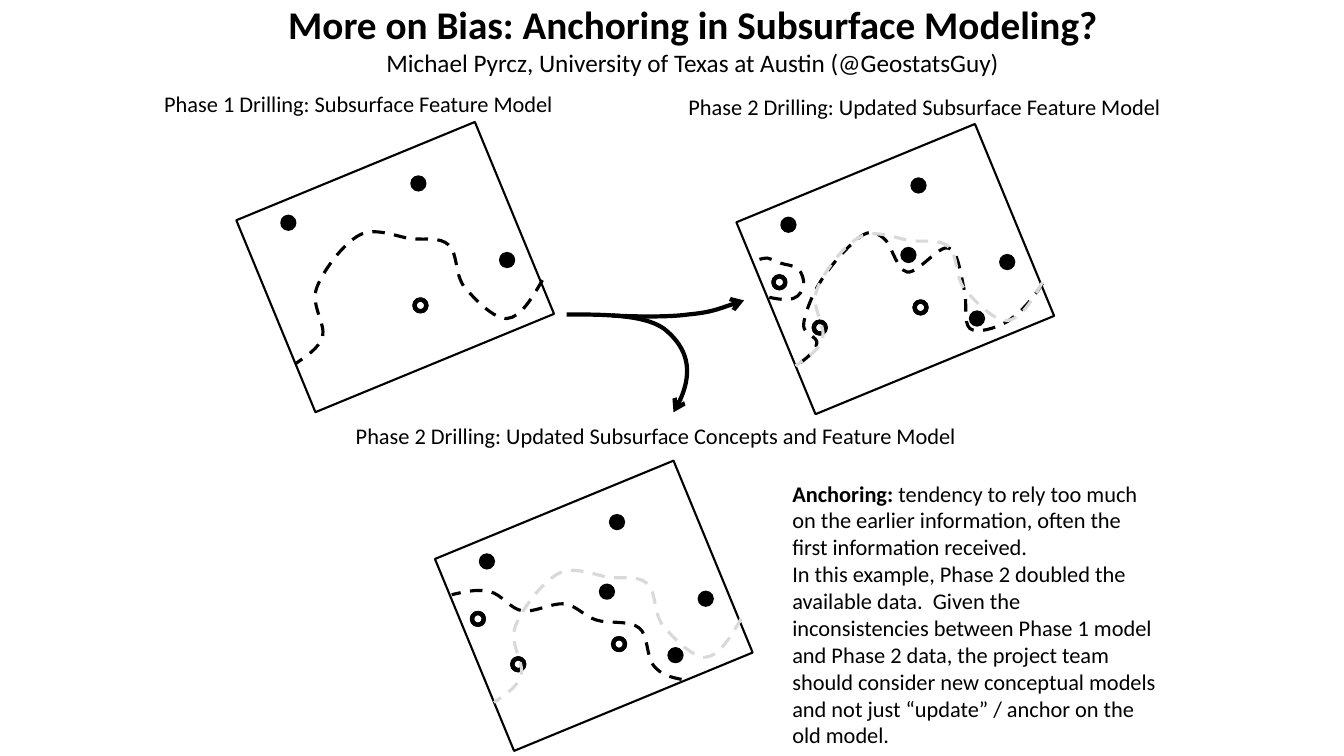
from lxml.etree import SubElement
from pptx import Presentation
from pptx.dml.color import RGBColor
from pptx.enum.dml import MSO_LINE
from pptx.enum.shapes import MSO_SHAPE as Preset
from pptx.enum.text import MSO_AUTO_SIZE as Fit, PP_ALIGN as Align
from pptx.oxml.ns import qn
from pptx.util import Pt

PX = 9144
FONT = "Calibri"
BLACK = RGBColor(0, 0, 0)
GREY = RGBColor(0xD9, 0xD9, 0xD9)

FIRST_DISKS = [(15, 52), (144, 13), (232, 89)]
FIRST_RINGS = [(147, 135)]
SECOND_DISKS = FIRST_DISKS + [(134, 82), (202, 145)]
SECOND_RINGS = FIRST_RINGS + [(47, 155), (7, 110)]

FIRST_MODEL = [
    (274, 116), (263, 135), (252, 153), (239, 154), (226, 155), (206, 134), (196, 122),
    (187, 109), (190, 89), (181, 81), (172, 73), (159, 76), (144, 75),
    (130, 73), (108, 63), (93, 71), (77, 79), (56, 107), (50, 124),
    (44, 141), (59, 159), (56, 172), (52, 184), (40, 191), (29, 199)]
UPDATED_MODEL = [
    (274, 117), (263, 135), (251, 147), (239, 155), (227, 162), (209, 167), (202, 162),
    (195, 156), (200, 136), (196, 122), (193, 109), (190, 84), (181, 82),
    (171, 79), (151, 107), (140, 106), (129, 104), (124, 77), (116, 72),
    (108, 66), (103, 64), (93, 71), (82, 79), (63, 100), (54, 115),
    (45, 129), (37, 150), (37, 159), (37, 168), (52, 170), (50, 177),
    (49, 184), (40, 192), (29, 199)]
SEPARATE_BODY = [
    (3, 131), (12, 133), (21, 134), (27, 132), (33, 130), (36, 124), (37, 119),
    (38, 114), (35, 106), (32, 103), (28, 99), (19, 99), (14, 97),
    (9, 95), (5, 93), (1, 92), (-4, 92), (-8, 94), (-13, 95)]
NEW_CONCEPT = [
    (215, 176), (204, 174), (194, 171), (187, 162), (180, 153), (182, 132), (173, 125),
    (163, 117), (142, 121), (130, 117), (118, 113), (111, 103), (99, 101),
    (86, 100), (69, 110), (57, 108), (45, 106), (37, 92), (25, 89),
    (13, 86), (0, 89), (-13, 92)]
ARROW_DOWN = [
    (562, 312), (601, 312), (644, 312), (662, 329), (680, 345), (691, 372), (668, 409)]
ARROW_RIGHT = [
    (607, 313), (625, 314), (662, 315), (683, 312), (705, 310), (720, 304), (738, 298)]


class Sketch:
    def __init__(self, page):
        self.shapes = page.shapes

    def text(self, left, top, width, height, paras, align=Align.LEFT, wrap=False):
        box = self.shapes.add_textbox(left * PX, top * PX, width * PX, height * PX)
        frame = box.text_frame
        frame.word_wrap = wrap
        frame.auto_size = Fit.SHAPE_TO_FIT_TEXT
        for index, spans in enumerate(paras):
            para = frame.add_paragraph() if index else frame.paragraphs[0]
            para.alignment = align
            for words, size, bold in spans:
                span = para.add_run()
                span.text = words
                span.font.name = FONT
                span.font.size = Pt(size)
                span.font.bold = bold
                span.font.color.rgb = BLACK

    def shape(self, kind, left, top, width, height, weight, filled=True):
        shape = self.shapes.add_shape(kind, left * PX, top * PX, width * PX, height * PX)
        shape.shadow.inherit = False
        if filled:
            shape.fill.solid()
            shape.fill.fore_color.rgb = BLACK
        else:
            shape.fill.background()
        shape.line.color.rgb = BLACK
        shape.line.width = Pt(weight)
        return shape

    def curve(self, points, weight, color=BLACK, origin=(0, 0), arrow=False):
        x, y = origin
        start, *rest = [(x + across, y + down) for across, down in points]
        builder = self.shapes.build_freeform(*start, scale=PX)
        builder.add_line_segments(rest, close=False)
        shape = builder.convert_to_shape()
        shape.shadow.inherit = False
        shape.fill.background()
        shape.line.color.rgb = color
        shape.line.width = Pt(weight)
        segments = list(shape.element.iter(qn("a:lnTo")))
        outline = segments[0].getparent()
        for index in range(0, len(segments), 3):
            bezier = SubElement(outline, qn("a:cubicBezTo"))
            for segment in segments[index:index + 3]:
                bezier.append(segment[0])
                outline.remove(segment)
        if arrow:
            line = shape.element.spPr.find(qn("a:ln"))
            SubElement(line, qn("a:tailEnd"), type="arrow")
        else:
            shape.line.dash_style = MSO_LINE.DASH

    def drilling_map(self, left, top, rings, disks, models):
        border = self.shape(Preset.RECTANGLE, left, top, 256, 206, 1.5, filled=False)
        border.rotation = 337.6
        for across, down in rings:
            ring = self.shape(Preset.DONUT, left + across, top + down, 12, 12, 3)
            ring.adjustments[0] = 0.02
        for points, color in models:
            self.curve(points, 2.25, color, (left, top))
        for across, down in disks:
            self.shape(Preset.OVAL, left + across, top + down, 14, 14, 1.5)


def main():
    deck = Presentation()
    deck.slide_width, deck.slide_height = 1333 * PX, 750 * PX
    sketch = Sketch(deck.slides.add_slide(deck.slide_layouts[6]))

    for left, top, width, title in [
            (153, 85, 425, "Phase 1 Drilling: Subsurface Feature Model"),
            (673, 87, 512, "Phase 2 Drilling: Updated Subsurface Feature Model"),
            (343, 414, 641, "Phase 2 Drilling: Updated Subsurface Concepts and Feature Model")]:
        sketch.text(left, top, width, 37, [[(title, 16, False)]])

    sketch.drilling_map(264, 162, FIRST_RINGS, FIRST_DISKS, [(FIRST_MODEL, BLACK)])
    sketch.drilling_map(760, 164, SECOND_RINGS, SECOND_DISKS, [
        (UPDATED_MODEL, BLACK), (SEPARATE_BODY, BLACK), (FIRST_MODEL, GREY)])
    sketch.drilling_map(461, 498, SECOND_RINGS, SECOND_DISKS, [
        (FIRST_MODEL, GREY), (NEW_CONCEPT, BLACK)])

    for points in (ARROW_DOWN, ARROW_RIGHT):
        sketch.curve(points, 3, arrow=True)

    sketch.text(776, 471, 385, 279, [
        [("Anchoring: ", 16, True),
         ("tendency to rely too much on the earlier information, often the first "
          "information received.", 16, False)],
        [("In this example, Phase 2 doubled the available data.  Given the "
          "inconsistencies between Phase 1 model and Phase 2 data, the project team "
          "should consider new conceptual models and not just “update” / anchor on "
          "the old model.", 16, False)]], wrap=True)
    sketch.text(271, -5, 832, 88, [
        [("More on Bias: Anchoring in Subsurface Modeling?", 28, True)],
        [("Michael Pyrcz, University of Texas at Austin (@GeostatsGuy)", 18, False)]],
        Align.CENTER)

    deck.save("out.pptx")


if __name__ == "__main__":
    main()
